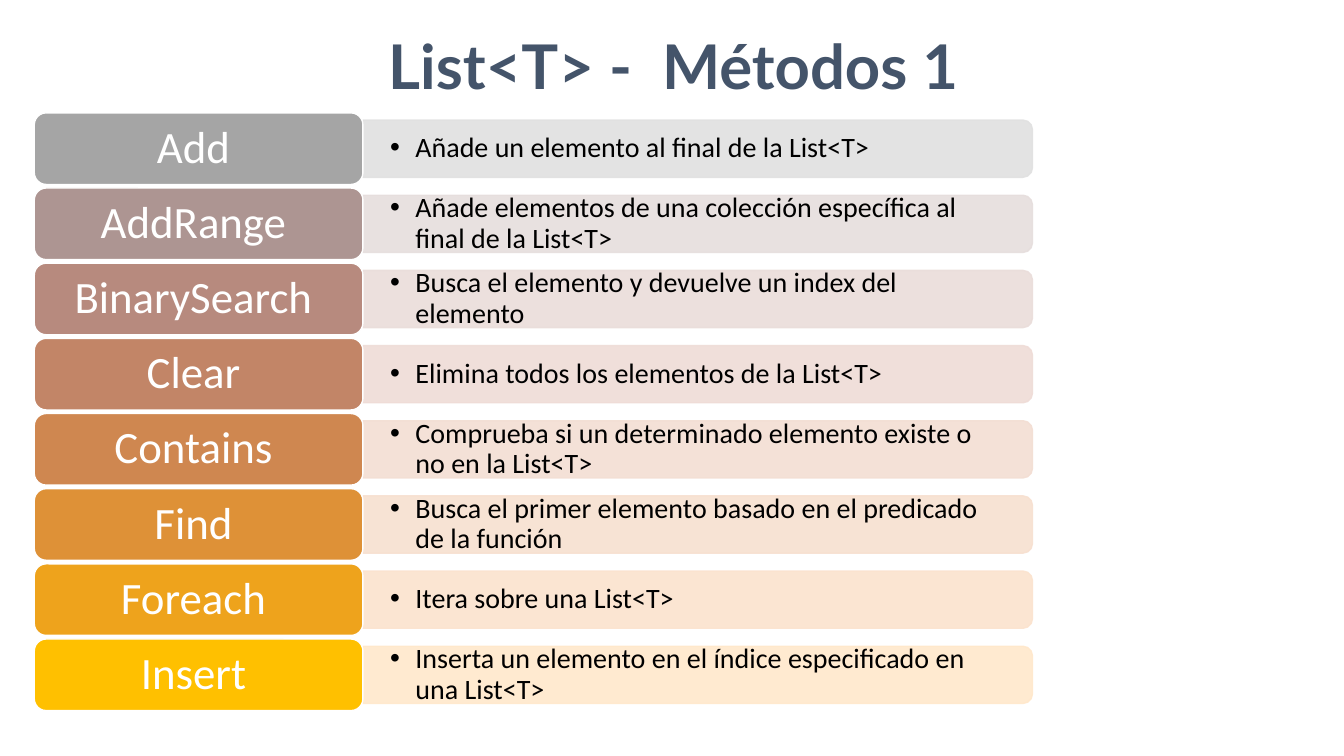
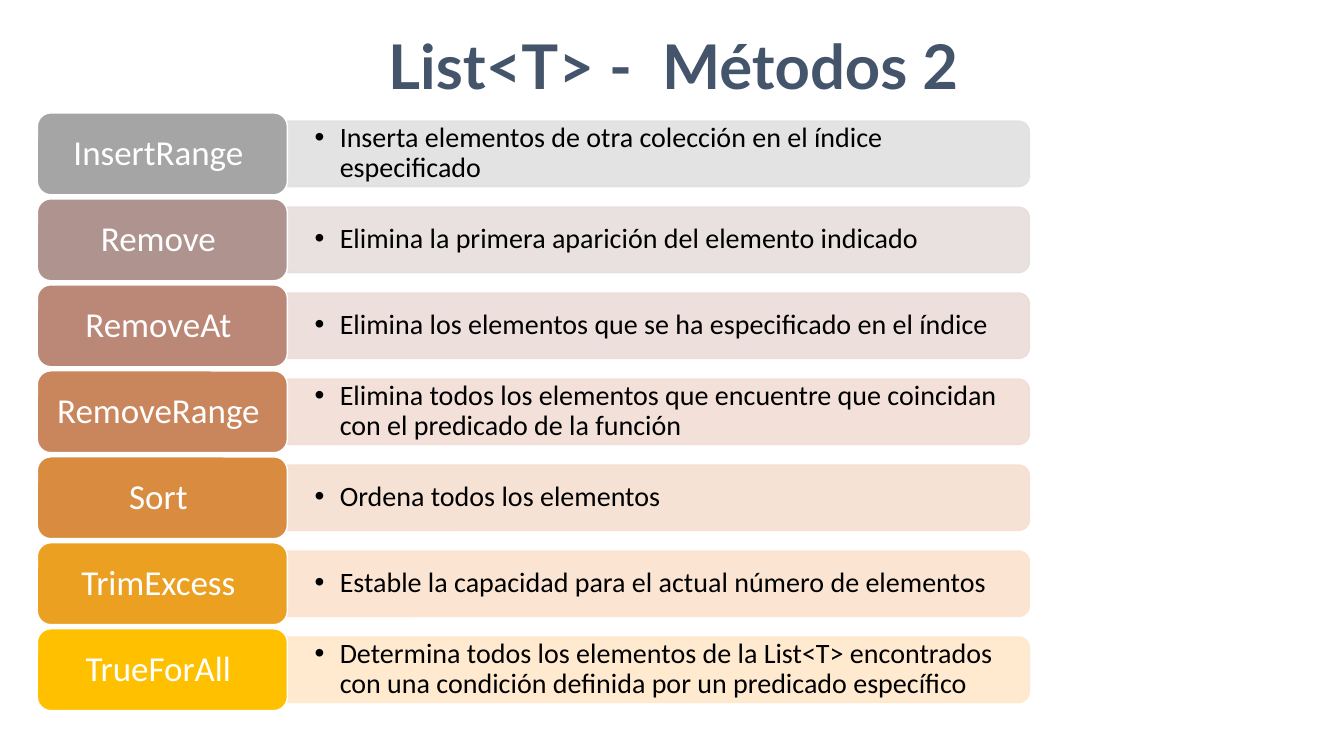
import colorsys

import lxml.etree
import pptx
import pptx.dml.color
import pptx.enum.shapes
import pptx.enum.text
import pptx.oxml.ns
import pptx.util

Inches = pptx.util.Inches
Pt = pptx.util.Pt
RGBColor = pptx.dml.color.RGBColor
SHAPES = pptx.enum.shapes.MSO_SHAPE
ANCHOR = pptx.enum.text.MSO_ANCHOR
ALIGN = pptx.enum.text.PP_ALIGN
qn = pptx.oxml.ns.qn

SLIDES = [
    {
        "title": "List<T> -  Métodos 1",
        "left": 0.34, "right": 10.24, "label_width": 3.26,
        "label_size": 32, "label_inset": (0.13, 0.07),
        "methods": [
            ("Add", "Añade un elemento al final de la List<T>"),
            ("AddRange", "Añade elementos de una colección específica al final de la List<T>"),
            ("BinarySearch", "Busca el elemento y devuelve un index del elemento"),
            ("Clear", "Elimina todos los elementos de la List<T>"),
            ("Contains", "Comprueba si un determinado elemento existe o no en la List<T>"),
            ("Find", "Busca el primer elemento basado en el predicado de la función"),
            ("Foreach", "Itera sobre una List<T>"),
            ("Insert", "Inserta un elemento en el índice especificado en una List<T>"),
        ],
    },
    {
        "title": "List<T> -  Métodos 2",
        "left": 0.37, "right": 10.21, "label_width": 2.48,
        "label_size": 25, "label_inset": (0.1, 0.05),
        "methods": [
            ("InsertRange", "Inserta elementos de otra colección en el índice especificado"),
            ("Remove", "Elimina la primera aparición del elemento indicado"),
            ("RemoveAt", "Elimina los elementos que se ha especificado en el índice"),
            ("RemoveRange", "Elimina todos los elementos que encuentre que coincidan "
                            "con el predicado de la función"),
            ("Sort", "Ordena todos los elementos"),
            ("TrimExcess", "Estable la capacidad para el actual número de elementos"),
            ("TrueForAll", "Determina todos los elementos de la List<T> encontrados "
                           "con una condición definida por un predicado específico"),
        ],
    },
]

THEME = {
    "title": {"name": "Lato", "size": Pt(44), "bold": True, "color": "44546A"},
    "label": {"name": "Calibri", "color": "FFFFFF"},
    "description": {"name": "Calibri", "size": Pt(20), "color": "000000"},
    "label_ramp": ("A5A5A5", "FFC000"),
    "bar_ramp": ("E1E1E1", "FFE8CB"),
    "label_border": "FFFFFF",
    "bar_opacity": 90,
}
LIST_TOP, LIST_BOTTOM = 1.12, 7.05
GAP_RATIO, BAR_RATIO = 0.05, 0.8


def ramp_color(ramp, share):
    start, end = (
        colorsys.rgb_to_hls(*(channel / 255 for channel in RGBColor.from_string(code)))
        for code in ramp
    )
    blend = (a + (b - a) * share for a, b in zip(start, end))
    return RGBColor(*(round(channel * 255) for channel in colorsys.hls_to_rgb(*blend)))


def paint(shape, fill, border, opacity=100):
    shape.shadow.inherit = False
    shape.line.width = Pt(1)
    for target, color in ((shape.fill, fill), (shape.line.fill, border)):
        target.solid()
        target.fore_color.rgb = color
    if opacity < 100:
        for color in shape.element.spPr.iter(qn("a:srgbClr")):
            lxml.etree.SubElement(color, qn("a:alpha"), val=str(opacity * 1000))


def write(shape, text, style, inset, anchor, align, spacing=1.0, bullet=False):
    frame = shape.text_frame
    across, down = (Inches(length) for length in inset)
    frame_format = {
        "word_wrap": True, "vertical_anchor": anchor,
        "margin_left": across, "margin_right": across,
        "margin_top": down, "margin_bottom": down,
    }
    for attribute, value in frame_format.items():
        setattr(frame, attribute, value)
    paragraph = frame.paragraphs[0]
    paragraph.alignment = align
    paragraph.line_spacing = spacing
    if bullet:
        properties = paragraph._p.get_or_add_pPr()
        properties.set("marL", str(Inches(0.25)))
        properties.set("indent", str(Inches(-0.25)))
        lxml.etree.SubElement(properties, qn("a:buFont"), typeface="Arial")
        lxml.etree.SubElement(properties, qn("a:buChar"), char="•")
    run = paragraph.add_run()
    run.text = text
    for attribute, value in style.items():
        if attribute == "color":
            run.font.color.rgb = RGBColor.from_string(value)
        else:
            setattr(run.font, attribute, value)


def add_bar(slide, left, top, width, height, color):
    bar = slide.shapes.add_shape(
        SHAPES.ROUND_2_SAME_RECTANGLE,
        Inches(left + (width - height) / 2), Inches(top - (width - height) / 2),
        Inches(height), Inches(width),
    )
    bar.rotation = 90
    paint(bar, color, color, THEME["bar_opacity"])


def add_method(slide, content, row, row_height):
    name, explanation = content["methods"][row]
    share = row / (len(content["methods"]) - 1)
    top = LIST_TOP + row * row_height * (1 + GAP_RATIO)
    bar_left = content["left"] + content["label_width"]
    bar_width = content["right"] - bar_left
    bar_height = row_height * BAR_RATIO
    bar_top = top + (row_height - bar_height) / 2

    add_bar(slide, bar_left, bar_top, bar_width, bar_height,
            ramp_color(THEME["bar_ramp"], share))
    description = slide.shapes.add_textbox(
        Inches(bar_left), Inches(bar_top + 0.03),
        Inches(bar_width - 0.03), Inches(bar_height - 0.06))
    write(description, explanation, THEME["description"], (0.27, 0.14),
          ANCHOR.MIDDLE, ALIGN.LEFT, 0.9, bullet=True)

    label = slide.shapes.add_shape(
        SHAPES.ROUNDED_RECTANGLE, Inches(content["left"]), Inches(top),
        Inches(content["label_width"]), Inches(row_height))
    paint(label, ramp_color(THEME["label_ramp"], share),
          RGBColor.from_string(THEME["label_border"]))
    write(label, f"{name} ", {**THEME["label"], "size": Pt(content["label_size"])},
          content["label_inset"], ANCHOR.MIDDLE, ALIGN.CENTER, 0.9)


def add_method_slide(deck, content):
    slide = deck.slides.add_slide(deck.slide_layouts[6])
    title = slide.shapes.add_textbox(Inches(0.13), Inches(0.26), Inches(13.1), Inches(0.79))
    write(title, content["title"], THEME["title"], (0.05, 0.02), ANCHOR.TOP, ALIGN.CENTER)
    count = len(content["methods"])
    row_height = (LIST_BOTTOM - LIST_TOP) / (count + (count - 1) * GAP_RATIO)
    for row in range(count):
        add_method(slide, content, row, row_height)


def main():
    deck = pptx.Presentation()
    deck.slide_width, deck.slide_height = Inches(13.33), Inches(7.5)
    for content in SLIDES:
        add_method_slide(deck, content)
    deck.save("out.pptx")


if __name__ == "__main__":
    main()
